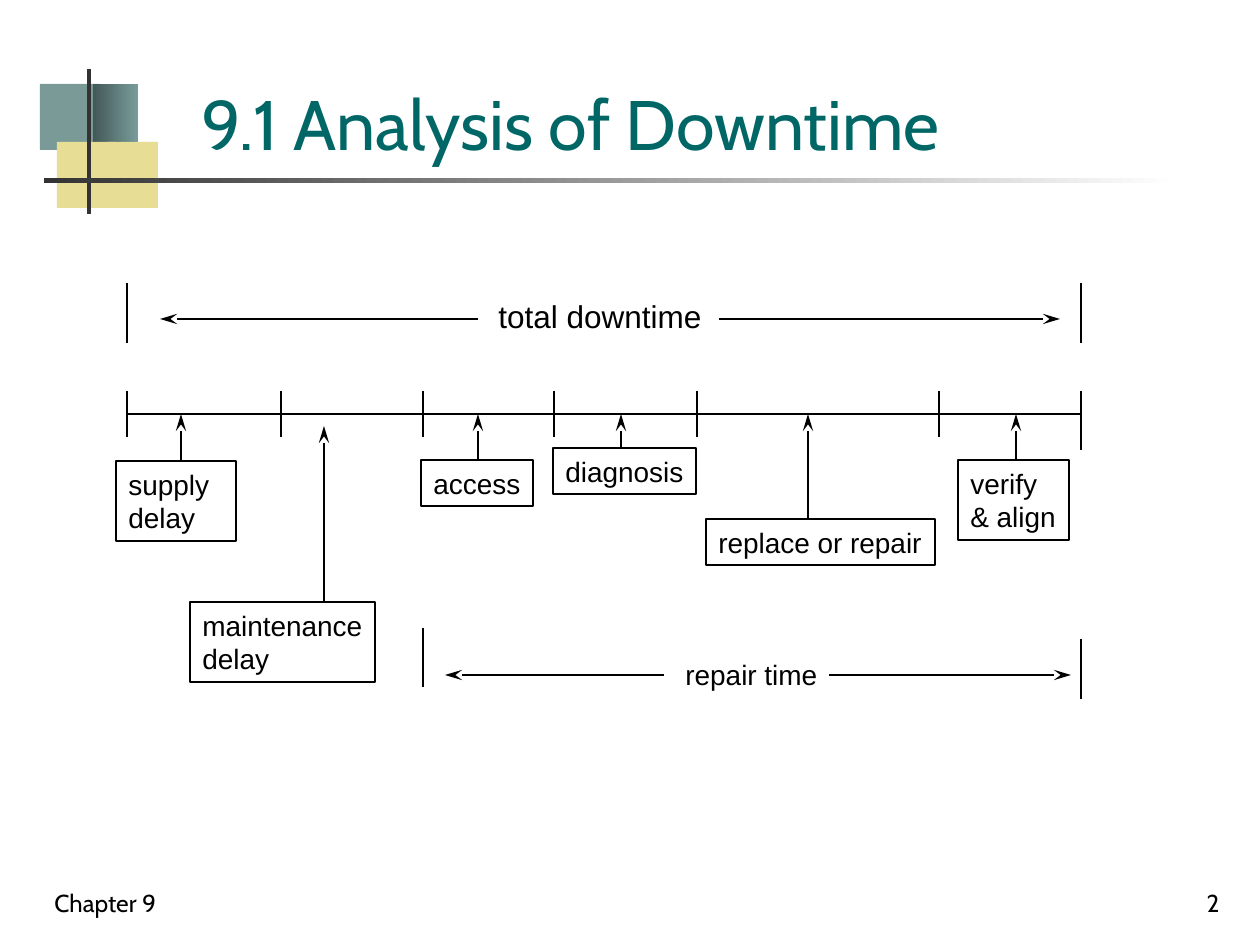
from lxml import etree
from pptx import Presentation
from pptx.dml.color import RGBColor
from pptx.enum.shapes import MSO_CONNECTOR, MSO_SHAPE
from pptx.enum.text import MSO_ANCHOR, MSO_AUTO_SIZE, PP_ALIGN
from pptx.oxml.ns import qn
from pptx.util import Pt

RECT = MSO_SHAPE.RECTANGLE
STRAIGHT = MSO_CONNECTOR.STRAIGHT
TOP, BOTTOM = MSO_ANCHOR.TOP, MSO_ANCHOR.BOTTOM
LEFT, RIGHT = PP_ALIGN.LEFT, PP_ALIGN.RIGHT
FIXED = MSO_AUTO_SIZE.NONE
SCALE = 914400 / 126
INK = "000000"
START, END, AXIS = 127, 1081, 414
TICKS = (START, 281, 423, 554, 697, 939)
DECOR = (
    ((40, 84, 60, 66), ("7A9A98",)),
    ((93, 84, 45, 66), ("435958", "789C9A")),
    ((57, 142, 58, 66), ("E7DD95",)),
    ((108, 142, 50, 66), ("E7DD95",)),
    ((87, 69, 4, 145), ("333333",)),
    ((44, 178, 1134, 5), ("333333", "FFFFFF")),
)
STAGES = (
    ("supply\ndelay", (116, 461, 120, 80), 181, AXIS, True),
    ("maintenance\ndelay", (190, 602, 185, 80), 324, 426, False),
    ("access", (421, 460, 112, 46), 478, AXIS, False),
    ("diagnosis", (553, 448, 143, 46), 621, AXIS, False),
    ("replace or repair", (706, 519, 229, 46), 808, AXIS, False),
    ("verify\n& align", (958, 460, 111, 80), 1016, AXIS, False),
)
SPANS = (
    ("total downtime", 18, (486, 291, 228, 50), 319,
     ((478, 160), (719, 1060)), ((START, 283, 343), (END, 283, 343))),
    ("repair time", 16, (673, 651, 157, 46), 675,
     ((664, 445), (829, 1071)), ((423, 628, 687), (END, 639, 699))),
)


def px(*vals):
    """Turn pixel lengths into a list of EMU."""
    return [round(val * SCALE) for val in vals]


def tint(code):
    """Return the colour of a hex string."""
    return RGBColor.from_string(code)


def apply(item, form):
    """Set each format value on an object."""
    for name, val in form.items():
        setattr(item, name, val)


def write(shape, text, size, font="Arial", color=INK, align=LEFT,
          anchor=TOP, wrap=False):
    """Fill a shape with formatted text, one paragraph a line."""
    frame = shape.text_frame
    frame.text = text
    apply(frame, {"word_wrap": wrap, "auto_size": FIXED,
                  "vertical_anchor": anchor})
    for para in frame.paragraphs:
        para.alignment = align
        apply(para.font, {"name": font, "size": Pt(size)})
        para.font.color.rgb = tint(color)


def label(slide, box, text, size, **form):
    """Add a plain text box."""
    write(slide.shapes.add_textbox(*px(*box)), text, size, **form)


def block(slide, box, colors):
    """Add a rectangle with a solid fill or a two-colour gradient."""
    shape = slide.shapes.add_shape(RECT, *px(*box))
    shape.shadow.inherit = False
    shape.line.fill.background()
    if len(colors) == 1:
        shape.fill.solid()
        shape.fill.fore_color.rgb = tint(colors[0])
        return
    shape.fill.gradient()
    shape.fill.gradient_angle = 0
    for spot, (stop, color) in enumerate(zip(shape.fill.gradient_stops, colors)):
        stop.position = spot
        stop.color.rgb = tint(color)


def line(slide, *ends, arrow=False):
    """Draw a thin line, with an arrowhead at its end if asked."""
    rule = slide.shapes.add_connector(STRAIGHT, *px(*ends))
    rule.line.width = Pt(1)
    rule.line.color.rgb = tint(INK)
    props = rule._element.spPr
    if arrow:
        etree.SubElement(props.find(qn("a:ln")), qn("a:tailEnd"),
                         type="stealth", w="med", len="lg")
    etree.SubElement(props, qn("a:effectLst"))


def stage(slide, text, box, mid, tip, wrap):
    """Add a framed stage name and its arrow to the time axis."""
    shape = slide.shapes.add_shape(RECT, *px(*box))
    shape.shadow.inherit = False
    shape.fill.background()
    shape.line.width = Pt(1)
    shape.line.color.rgb = tint(INK)
    write(shape, text, 16, wrap=wrap)
    line(slide, mid, box[1], mid, tip, arrow=True)


def span(slide, text, size, box, level, arms, posts):
    """Add a named span with two arrows and its end posts."""
    label(slide, box, text, size)
    for near, far in arms:
        line(slide, near, level, far, level, arrow=True)
    for left, top, foot in posts:
        line(slide, left, top, left, foot)


def main():
    """Build and save the slide."""
    deck = Presentation()
    deck.slide_width, deck.slide_height = px(1260, 945)
    slide = deck.slides.add_slide(deck.slide_layouts[5])
    for box, colors in DECOR:
        block(slide, box, colors)
    title = slide.shapes.title
    apply(title, dict(zip(("left", "top", "width", "height"),
                          px(189, 63, 979, 108))))
    write(title, "9.1 Analysis of Downtime", 40, font="Cabin",
          color="006666", anchor=BOTTOM, wrap=True)
    for left, text, align in ((42, "Chapter 9", LEFT), (970, "2", RIGHT)):
        label(slide, (left, 861, 262, 63), text, 14, font="Cabin",
              align=align, anchor=BOTTOM, wrap=True)
    line(slide, START, AXIS, END, AXIS)
    for tick in TICKS:
        line(slide, tick, 391, tick, 437)
    line(slide, END, 391, END, 450)
    for item in STAGES:
        stage(slide, *item)
    for item in SPANS:
        span(slide, *item)
    deck.save("out.pptx")


if __name__ == "__main__":
    main()
